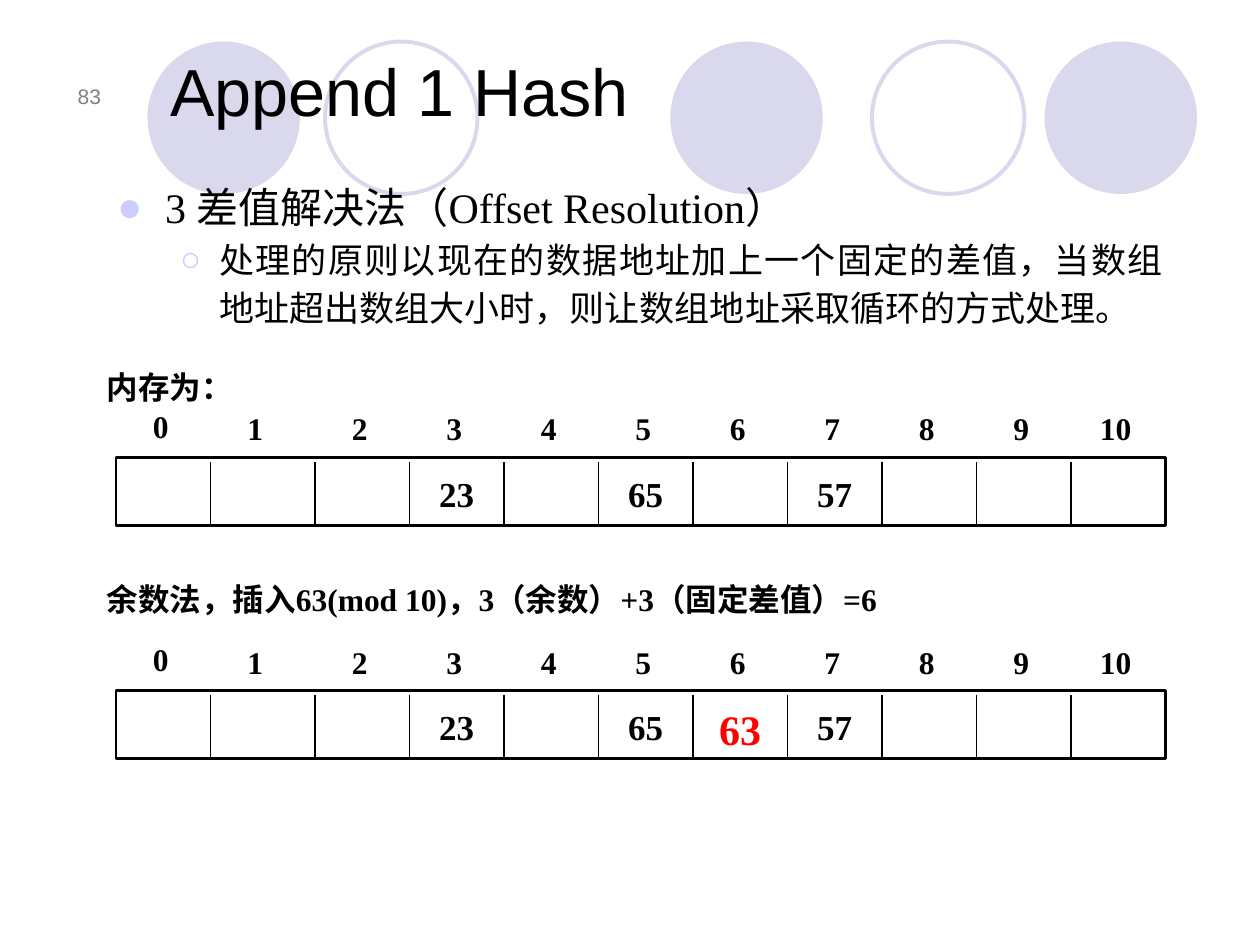
import pptx
import pptx.util
import pptx.dml.color
import pptx.enum.shapes
import pptx.enum.text
import pptx.oxml.ns
import lxml.etree

Inches = pptx.util.Inches
Pt = pptx.util.Pt
RGB = pptx.dml.color.RGBColor
SHAPE = pptx.enum.shapes.MSO_SHAPE
ALIGN = pptx.enum.text.PP_ALIGN
ANCHOR = pptx.enum.text.MSO_ANCHOR

BLACK = RGB(0, 0, 0)
RED = RGB(255, 0, 0)
GRAY = RGB(0x80, 0x80, 0x80)
LILAC = RGB(0xD9, 0xD8, 0xEC)
DOT = RGB(0xCC, 0xCC, 0xFF)
SANS = "Arial"
SERIF = "Times New Roman"

EDGES = [0.92, 1.67] + [2.5 + 0.75 * i for i in range(10)]


def write(para, text, size=18, font=SERIF, color=BLACK, bold=False, align=None, space=None):
    para.alignment = align
    if space:
        para.line_spacing = space
        para.space_before = Pt(0)
    run = para.add_run()
    run.text = text
    run.font.size = Pt(size)
    run.font.name = font
    run.font.bold = bold
    run.font.color.rgb = color


def label(shapes, text, box, pad=0.1, anchor=ANCHOR.TOP, **style):
    frame = shapes.add_textbox(*map(Inches, box)).text_frame
    frame.word_wrap = True
    frame.vertical_anchor = anchor
    frame.margin_left = frame.margin_right = Inches(pad)
    frame.margin_top = frame.margin_bottom = 0
    write(frame.paragraphs[0], text, **style)


def bullet(para, char, left, hang):
    props = para._p.get_or_add_pPr()
    props.set("marL", str(Inches(left)))
    props.set("indent", str(-Inches(hang)))
    tag = pptx.oxml.ns.qn
    tint = lxml.etree.SubElement(props, tag("a:buClr"))
    lxml.etree.SubElement(tint, tag("a:srgbClr"), val=str(DOT))
    lxml.etree.SubElement(props, tag("a:buFont"), typeface=SANS)
    lxml.etree.SubElement(props, tag("a:buChar"), char=char)


def place(holder, box):
    holder.left, holder.top, holder.width, holder.height = map(Inches, box)
    frame = holder.text_frame
    frame.auto_size = pptx.enum.text.MSO_AUTO_SIZE.NONE
    return frame


def circles(shapes, top, size):
    for left, solid in [(5.32, True), (8.29, True), (1.17, True), (6.92, False), (2.58, False)]:
        disc = shapes.add_shape(SHAPE.OVAL, *map(Inches, (left, top, size, size)))
        disc.shadow.inherit = False
        if solid:
            disc.fill.solid()
            disc.fill.fore_color.rgb = LILAC
            disc.line.fill.background()
        else:
            disc.fill.background()
            disc.line.color.rgb = LILAC
            disc.line.width = Pt(2.25)


def header(slide, box):
    title = slide.shapes.title
    slide.shapes._spTree.append(title._element)
    frame = place(title, box)
    frame.vertical_anchor = ANCHOR.BOTTOM
    write(frame.paragraphs[0], "Append 1 Hash", size=38, font=SANS, align=ALIGN.LEFT, space=1.15)


def points(slide, box):
    body = slide.placeholders[1]
    slide.shapes._spTree.append(body._element)
    frame = place(body, box)
    first = frame.paragraphs[0]
    bullet(first, "●", 0.38, 0.38)
    write(first, "3 差值解决法（Offset Resolution）", size=24, align=ALIGN.JUSTIFY, space=1.15)
    second = frame.add_paragraph()
    second.level = 1
    bullet(second, "○", 0.81, 0.31)
    write(second, "处理的原则以现在的数据地址加上一个固定的差值，当数组地址超出数组大小时，"
          "则让数组地址采取循环的方式处理。", size=20, align=ALIGN.JUSTIFY, space=1.15)


def array(shapes, top, cells, new=None):
    group = shapes.add_group_shape().shapes
    width = EDGES[-1] - EDGES[0]
    frame = group.add_shape(SHAPE.RECTANGLE, *map(Inches, (EDGES[0], top, width, 0.54)))
    frame.shadow.inherit = False
    frame.fill.background()
    frame.line.color.rgb = BLACK
    frame.line.width = Pt(1.5)
    for edge in EDGES[1:-1]:
        ends = map(Inches, (edge, top + 0.04, edge, top + 0.54))
        line = group.add_connector(pptx.enum.shapes.MSO_CONNECTOR.STRAIGHT, *ends)
        line.line.color.rgb = BLACK
        line.line.width = Pt(0.75)
        lxml.etree.SubElement(line._element.spPr, pptx.oxml.ns.qn("a:effectLst"))
    for i, edge in enumerate(EDGES[:-1]):
        rise = 0.38 if i else 0.4
        label(group, str(i), (edge + 0.08, top - rise, 0.55, 0.3), bold=True, align=ALIGN.CENTER)
    for i, value in cells.items():
        fresh = i == new
        drop = 0.1 if fresh else 0.12
        label(group, value, (EDGES[i], top + drop, 0.75, 0.33), pad=0, bold=True,
              size=24 if fresh else 20, color=RED if fresh else BLACK, align=ALIGN.CENTER)


def main():
    deck = pptx.Presentation()
    deck.slide_width, deck.slide_height = Inches(10), Inches(7.5)
    slide = deck.slides.add_slide(deck.slide_layouts[1])
    shapes = slide.shapes
    circles(shapes, 0.33, 1.21)
    label(shapes, "83", (0.35, 0.44, 0.55, 0.42), anchor=ANCHOR.BOTTOM,
          size=12, font=SANS, color=GRAY, align=ALIGN.RIGHT)
    header(slide, (1.25, 0.52, 8.48, 0.56))
    points(slide, (0.83, 1.33, 8.5, 1.25))
    cells = {3: "23", 5: "65", 7: "57"}
    label(shapes, "内存为：", (0.75, 2.92, 1.65, 0.3), bold=True)
    array(shapes, 3.63, cells)
    label(shapes, "余数法，插入63(mod 10)，3（余数）+3（固定差值）=6", (0.75, 4.6, 7.16, 0.3), bold=True)
    array(shapes, 5.48, {**cells, 6: "63"}, new=6)
    deck.save("out.pptx")


if __name__ == "__main__":
    main()
